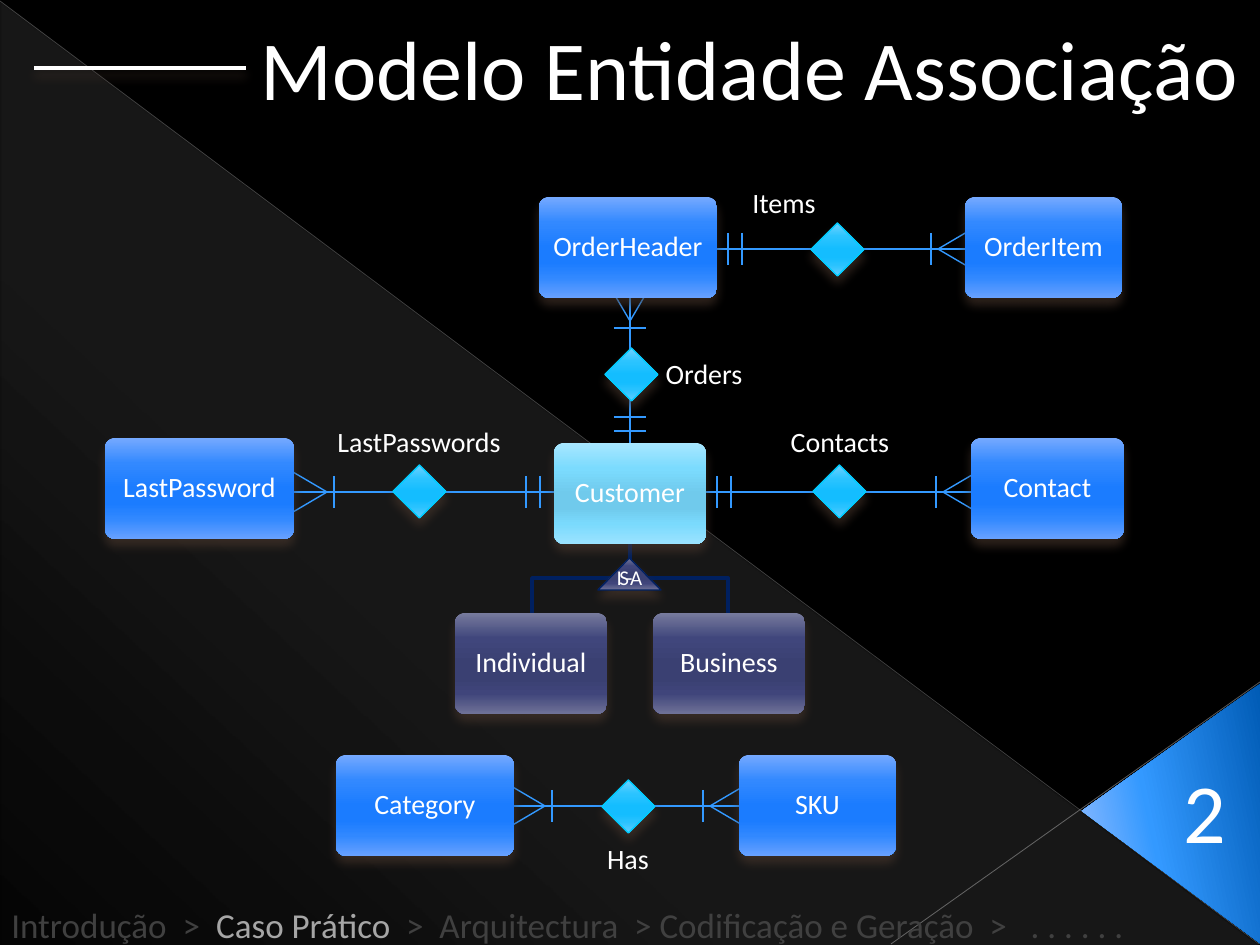
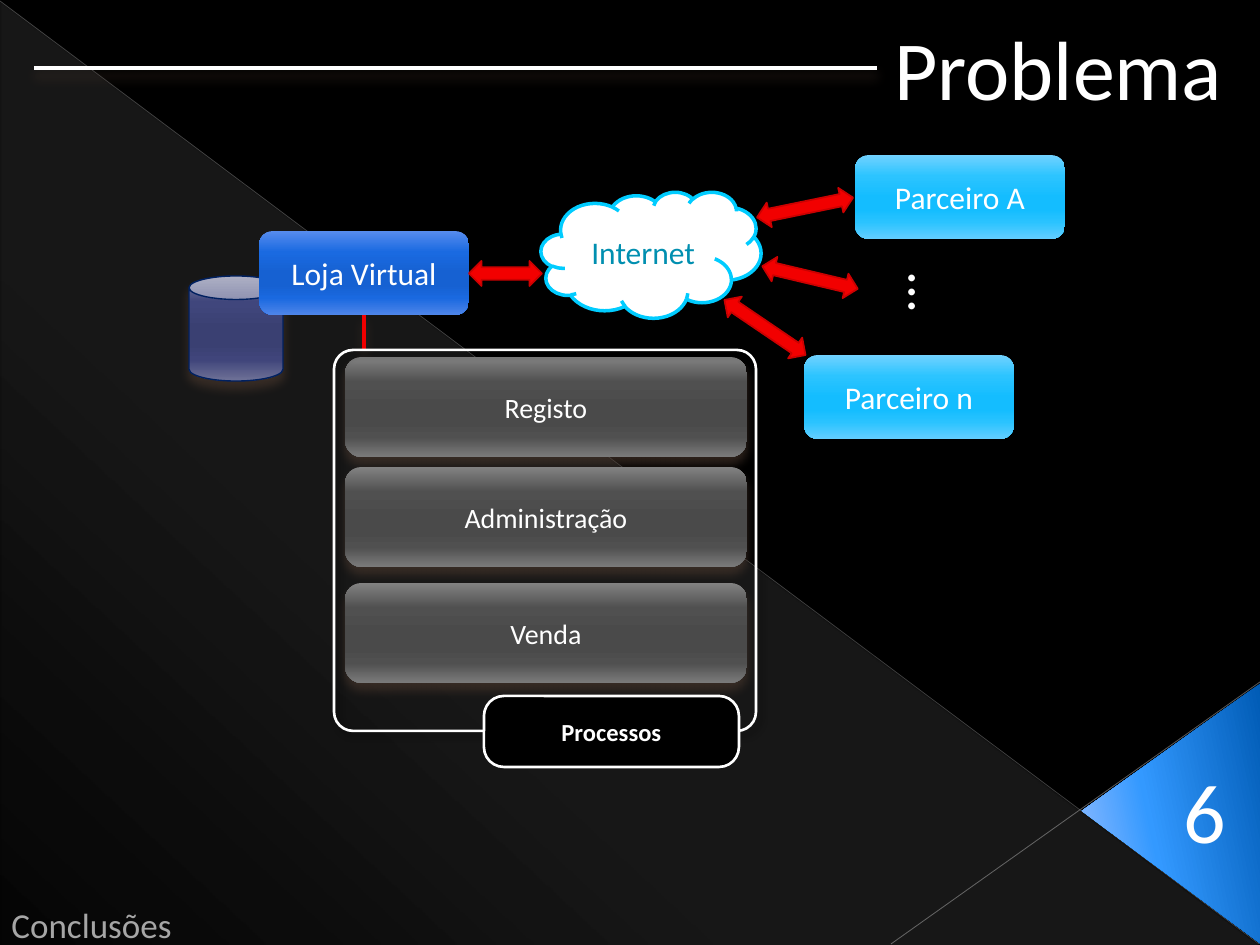
from lxml import etree
from pptx import Presentation
from pptx.dml.color import RGBColor
from pptx.enum.shapes import MSO_CONNECTOR, MSO_SHAPE
from pptx.enum.text import MSO_ANCHOR, PP_ALIGN
from pptx.oxml.ns import qn
from pptx.util import Pt

PX = 914400 // 126
LINE = MSO_CONNECTOR.STRAIGHT
TEXT = "text"
ROUND = MSO_SHAPE.ROUNDED_RECTANGLE
TRIANGLE = MSO_SHAPE.ISOSCELES_TRIANGLE
RIGHT_TRIANGLE = MSO_SHAPE.RIGHT_TRIANGLE
DIAMOND = MSO_SHAPE.FLOWCHART_DECISION
CLOUD = MSO_SHAPE.CLOUD
CAN = MSO_SHAPE.CAN
ARROW = MSO_SHAPE.LEFT_RIGHT_ARROW
LEFT, CENTER, JUSTIFY = PP_ALIGN.LEFT, PP_ALIGN.CENTER, PP_ALIGN.JUSTIFY
TOP, MIDDLE, BOTTOM = MSO_ANCHOR.TOP, MSO_ANCHOR.MIDDLE, MSO_ANCHOR.BOTTOM


class Theme:
    font = "Calibri"
    black, white = "000000", "FFFFFF"
    dim, lit, teal, red = "404040", "A6A6A6", "008FB0", "F20000"
    title, dots, footer, large, body, small, tiny = 48, 32, 20, 18, 16, 14, 12
    gloss = (0, 25, 50, 65, 80, 100)
    blue = (90, list(zip(gloss, ("75A9FF", "3389FF", "1B7CFF", "1B7CFF", "3188FF", "67A1FF"))))
    cyan = (90, list(zip(gloss, ("71D2FF", "2CC4FF", "14BDFF", "14BDFF", "2AC3FF", "63CEFF"))))
    pale = (90, list(zip(gloss, ("A8E7FF", "7BDBFE", "70CAEC", "70CAEC", "7ADAFD", "9BE3FF"))))
    navy = (90, list(zip(gloss, ("777B9D", "40467C", "3A4072", "3A4072", "40457B", "6F7297"))))
    grey = (90, list(zip(gloss, ("828282", "505050", "4A4A4A", "4A4A4A", "505050", "7A7A7A"))))
    royal = (90, list(zip(gloss, ("578CEE", "1A6AE1", "1661D2", "1661D2", "1A69E0", "4E85E9"))))
    corner = (258, [(0, "005BB5"), (60, "3399FF"), (100, "9BBFFF")])
    veil = (133, [(0, white, 10), (70, white, 8), (100, white, 1)])
    relation = ("3399FF", 0.79)
    diamond_edge = ("00CCFF", 0.79)
    navy_edge = ("002060", 0.79)
    branch = ("002060", 2)
    rule = (white, 2)
    frame = (white, 1.5)
    cloud_edge = ("00CCFF", 2)
    arrow_edge = ("CC0000", 1)
    link = (red, 2)
    slope = ("B4B4B4", 0.39, 35)
    counter_slope = ("BDBDBD", 0.47, 45)
    glow = ("4E3B30", 60, 6, 4, 90)
    frame_shadow = (black, 40, 4, 3, 45)


def paint(item, fill=None, line=None, shadow=None):
    props = item._element.spPr
    if isinstance(fill, tuple):
        angle, stops = fill
        item.fill.gradient()
        gradient = props.find(qn("a:gradFill"))
        gradient.clear()
        gradient.set("rotWithShape", "1")
        stop_list = etree.SubElement(gradient, qn("a:gsLst"))
        for position, color, *alpha in stops:
            stop = etree.SubElement(stop_list, qn("a:gs"), pos=str(position * 1000))
            tint = etree.SubElement(stop, qn("a:srgbClr"), val=color)
            if alpha:
                etree.SubElement(tint, qn("a:alpha"), val=str(alpha[0] * 1000))
        etree.SubElement(gradient, qn("a:lin"), ang=str(angle * 60000), scaled="0")
    elif fill:
        item.fill.solid()
        item.fill.fore_color.rgb = RGBColor.from_string(fill)
    elif hasattr(item, "fill"):
        item.fill.background()
    if line:
        color, width, *alpha = line
        item.line.width = Pt(width)
        item.line.fill.solid()
        item.line.fill.fore_color.rgb = RGBColor.from_string(color)
        if alpha:
            tint = props.find(".//" + qn("a:ln")).find(".//" + qn("a:srgbClr"))
            etree.SubElement(tint, qn("a:alpha"), val=str(alpha[0] * 1000))
    else:
        item.line.fill.background()
    effects = etree.SubElement(props, qn("a:effectLst"))
    if shadow:
        color, alpha, blur, distance, angle = shadow
        outer = etree.SubElement(
            effects, qn("a:outerShdw"), blurRad=str(Pt(blur)), dist=str(Pt(distance)),
            dir=str(angle * 60000), algn="ctr", rotWithShape="0")
        tint = etree.SubElement(outer, qn("a:srgbClr"), val=color)
        etree.SubElement(tint, qn("a:alpha"), val=str(alpha * 1000))


def add(page, kind, place, fill=None, line=None, shadow=None, rotation=0, adjust=None,
        runs=(), size=Theme.body, align=CENTER, anchor=MIDDLE, wrap=True):
    place = [length * PX for length in place]
    if kind == LINE:
        item = page.shapes.add_connector(LINE, *place)
        paint(item, line=line, shadow=shadow)
        return item
    if kind == TEXT:
        item = page.shapes.add_textbox(*place)
        anchor = TOP
    else:
        item = page.shapes.add_shape(kind, *place)
        if adjust is not None:
            item.adjustments[0] = adjust
        paint(item, fill, line, shadow)
    item.rotation = rotation
    frame = item.text_frame
    frame.word_wrap = wrap
    frame.vertical_anchor = anchor
    para = frame.paragraphs[0]
    para.alignment = align
    for words, color in runs:
        span = para.add_run()
        span.text = words
        span.font.name = Theme.font
        span.font.size = Pt(size)
        span.font.color.rgb = RGBColor.from_string(color)
    return item


deck = Presentation()
deck.slide_width, deck.slide_height = 1260 * PX, 945 * PX
background = deck.slide_master.background.fill
background.solid()
background.fore_color.rgb = RGBColor.from_string(Theme.black)

trail = [("Introdução  >  ", Theme.dim), ("Caso Prático ", Theme.lit),
         (" >  Arquitectura  > Codificação e Geração  >   . . . . . .", Theme.dim)]
openings = [
    ("Modelo Entidade Associação", 248, 1014, 246, "2", trail),
    ("Problema", 882, 357, 877, "6", [("Conclusões", Theme.lit)]),
]
pages = []
for title, title_left, title_width, rule_end, number, footer in openings:
    page = deck.slides.add_slide(deck.slide_layouts[6])
    add(page, RIGHT_TRIANGLE, (1, 2, 1258, 943), Theme.veil)
    add(page, LINE, (0, 1, 1259, 944), line=Theme.slope)
    add(page, LINE, (1260, 682, 891, 944), line=Theme.counter_slope)
    add(page, TRIANGLE, (1041, 724, 261, 179), Theme.corner, rotation=270, adjust=0.51)
    add(page, TEXT, (1171, 753, 68, 115), runs=[(number, Theme.white)],
        size=Theme.title, align=LEFT, wrap=False)
    add(page, TEXT, (title_left, 10, title_width, 115), runs=[(title, Theme.white)],
        size=Theme.title, align=LEFT, wrap=False)
    add(page, LINE, (rule_end, 68, 34, 68), line=Theme.rule, shadow=Theme.glow)
    add(page, TEXT, (-1, 897, 1250, 55), runs=footer, size=Theme.footer, align=JUSTIFY)
    pages.append(page)
model, problem = pages

relations = [(459, 806, 805, 806), (231, 492, 611, 492), (660, 249, 1007, 249),
             (630, 244, 630, 454), (660, 492, 1040, 492)]
for ends in relations:
    add(model, LINE, ends, line=Theme.relation)

upright_ticks = [(left + gap, y) for left, y in [(717, 492), (728, 249), (526, 492)]
                 for gap in (0, 14)]
level_ticks = [(630, 417), (630, 431)]
crow_feet = [(304, 492, 90), (966, 492, 270), (961, 249, 270),
             (630, 298, 180), (522, 806, 90), (733, 806, 270)]
for x, y, turn in crow_feet:
    add(model, TRIANGLE, (x - 27, y - 23, 54, 46), line=Theme.relation, rotation=turn)
    if turn == 180:
        level_ticks.append((x, y + 30))
    else:
        upright_ticks.append((x + (30 if turn == 90 else -30), y))
for x, y in upright_ticks:
    add(model, LINE, (x, y - 16, x, y + 16), line=Theme.relation)
for x, y in level_ticks:
    add(model, LINE, (x - 16, y, x + 16, y), line=Theme.relation)

for x in (532, 728):
    builder = model.shapes.build_freeform(630, 544, scale=PX)
    builder.add_line_segments([(630, 578), (x, 578), (x, 613)], close=False)
    paint(builder.convert_to_shape(), line=Theme.branch)

entities = [
    ("Customer", 554, 443, 152, Theme.pale),
    ("Individual", 455, 613, 152, Theme.navy),
    ("Business", 653, 613, 152, Theme.navy),
    ("Contact", 971, 438, 153, Theme.blue),
    ("LastPassword", 105, 438, 189, Theme.blue),
    ("OrderHeader", 539, 197, 178, Theme.blue),
    ("OrderItem", 965, 197, 157, Theme.blue),
    ("Category", 336, 755, 178, Theme.blue),
    ("SKU", 739, 755, 157, Theme.blue),
]
for name, left, top, width, fill in entities:
    entity = add(model, ROUND, (left, top, width, 101), fill, shadow=Theme.glow,
                 adjust=0.1, runs=[(name, Theme.white)])
    frame = entity.text_frame
    frame.margin_left = frame.margin_right = 9 * PX
    frame.paragraphs[0].line_spacing = 0.9

is_a = add(model, TRIANGLE, (598, 558, 63, 32), Theme.navy, Theme.navy_edge, Theme.glow,
           runs=[("IS-A", Theme.white)], size=Theme.tiny, anchor=BOTTOM, wrap=False)
frame = is_a.text_frame
frame.margin_left = frame.margin_top = frame.margin_right = frame.margin_bottom = 0
frame.paragraphs[0].runs[0].font._element.set("spc", "-150")

associations = [
    ("LastPasswords", 393, 465, 314, 418),
    ("Contacts", 813, 465, 735, 418),
    ("Orders", 605, 348, 599, 350),
    ("Items", 811, 223, 679, 179),
    ("Has", 602, 780, 523, 835),
]
for name, left, top, label_left, label_top in associations:
    add(model, DIAMOND, (left, top, 53, 53), Theme.cyan, Theme.diamond_edge, Theme.glow)
    add(model, TEXT, (label_left, label_top, 210, 46), runs=[(name, Theme.white)])

add(problem, LINE, (364, 315, 364, 350), line=Theme.link, shadow=Theme.glow)
for name, top in [("Registo", 357), ("Administração", 467), ("Venda", 583)]:
    add(problem, ROUND, (345, top, 402, 100), Theme.grey, shadow=Theme.glow,
        runs=[(name, Theme.white)])
add(problem, ROUND, (334, 350, 422, 381), line=Theme.frame, shadow=Theme.frame_shadow,
    adjust=0.05)
caption = add(problem, ROUND, (484, 696, 255, 71), Theme.black, Theme.frame, adjust=0.28,
              runs=[("Processos", Theme.white)], size=Theme.small)
caption.text_frame.paragraphs[0].runs[0].font.bold = True

add(problem, CAN, (189, 276, 94, 105), Theme.navy, Theme.navy_edge, Theme.glow)
add(problem, CLOUD, (541, 192, 220, 126), Theme.white, Theme.cloud_edge,
    runs=[("Internet", Theme.teal)], size=Theme.large)
parties = [("Parceiro A", 855, 155, Theme.cyan), ("Parceiro n", 804, 355, Theme.cyan),
           ("Loja Virtual", 259, 231, Theme.royal)]
for name, left, top, fill in parties:
    add(problem, ROUND, (left, top, 210, 84), fill, runs=[(name, Theme.white)],
        size=Theme.large)
arrows = [(469, 261, 73, 180), (716, 315, 98, 214.2),
          (756, 195, 98, 168.4), (761, 265, 98, 193.3)]
for left, top, width, turn in arrows:
    add(problem, ARROW, (left, top, width, 25), Theme.red, Theme.arrow_edge, rotation=turn)
add(problem, TEXT, (835, 252, 116, 81), rotation=270, runs=[("...", Theme.white)],
    size=Theme.dots)

deck.save("out.pptx")
